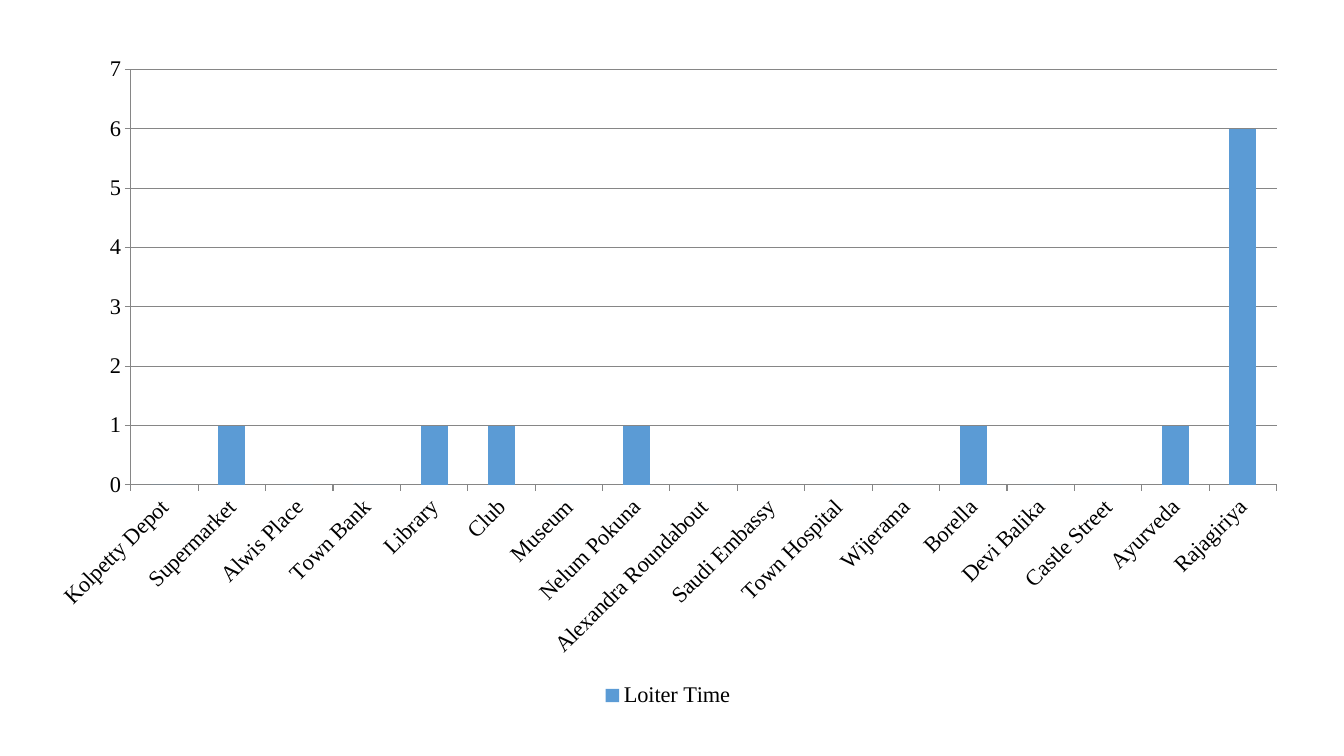
from pptx import Presentation
from pptx.chart import data
from pptx.dml import color
from pptx.enum import chart as kinds
from pptx.util import Pt

STOPS = {
    "Kolpetty Depot": 0, "Supermarket": 1, "Alwis Place": 0,
    "Town Bank": 0, "Library": 1, "Club": 1, "Museum": 0,
    "Nelum Pokuna": 1, "Alexandra Roundabout": 0,
    "Saudi Embassy": None, "Town Hospital": 0, "Wijerama": 0,
    "Borella": 1, "Devi Balika": 0, "Castle Street": 0,
    "Ayurveda": 1, "Rajagiriya": 6,
}
GREY = "868686"


def paint(target, shade):
    """Give a fill a solid colour."""
    target.solid()
    target.fore_color.rgb = color.RGBColor.from_string(shade)


def rule(line):
    """Draw an axis or grid line thin and grey."""
    paint(line.fill, GREY)
    line.width = Pt(0.75)


def set_font(font):
    """Set the font of all the chart text."""
    font.name = "Times New Roman"
    font.size = Pt(16)
    paint(font.fill, "000000")


def style_axes(chart):
    """Set scale, ticks, lines and the slant of the stop names."""
    stops, times = chart.category_axis, chart.value_axis
    for axis in (stops, times):
        axis.major_tick_mark = kinds.XL_TICK_MARK.OUTSIDE
        axis.minor_tick_mark = kinds.XL_TICK_MARK.NONE
        rule(axis.format.line)
        set_font(axis.tick_labels.font)
    body = stops.tick_labels.font._element.getparent().getparent().getparent()
    body.bodyPr.set("rot", "-2700000")
    times.minimum_scale, times.maximum_scale = 0, 7
    times.major_unit = 1
    times.has_major_gridlines = True
    rule(times.major_gridlines.format.line)


def add_bars(slide, left, top, width, height):
    """Add the column chart of loiter time per stop."""
    table = data.CategoryChartData(number_format="General")
    table.categories = list(STOPS)
    table.add_series("Loiter Time", list(STOPS.values()))
    frame = slide.shapes.add_chart(
        kinds.XL_CHART_TYPE.COLUMN_CLUSTERED,
        Pt(left), Pt(top), Pt(width), Pt(height), table)
    chart = frame.chart
    chart.has_title = False
    set_font(chart.font)
    chart.has_legend = True
    chart.legend.position = kinds.XL_LEGEND_POSITION.BOTTOM
    chart.legend.include_in_layout = False
    plot = chart.plots[0]
    plot.gap_width = 150
    plot.vary_by_categories = False
    paint(plot.series[0].format.fill, "5B9BD5")
    style_axes(chart)


def main():
    """Build and save the slide."""
    deck = Presentation()
    deck.slide_width, deck.slide_height = Pt(960), Pt(540)
    slide = deck.slides.add_slide(deck.slide_layouts[6])
    add_bars(slide, 24, 31, 906, 478)
    deck.save("out.pptx")


if __name__ == "__main__":
    main()
